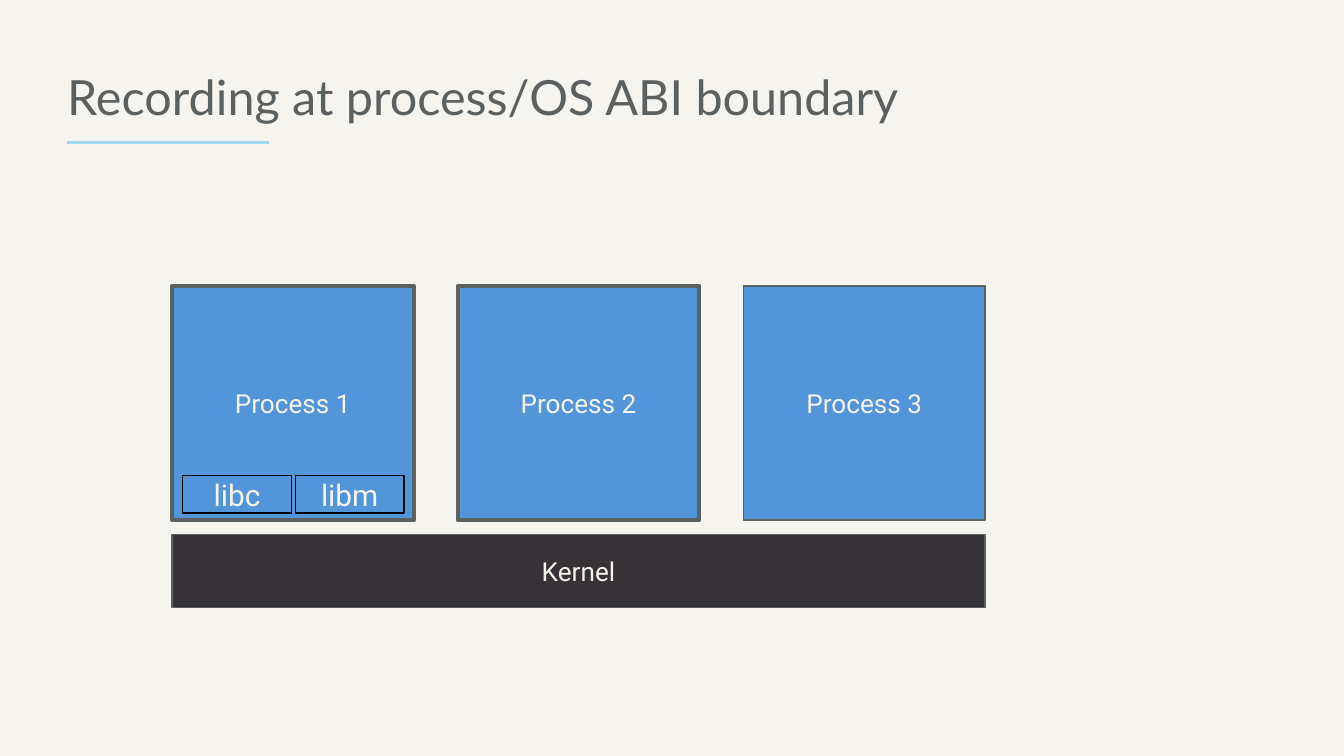
from dataclasses import dataclass
from typing import Optional

from lxml import etree
from pptx import Presentation
from pptx.dml.color import RGBColor
from pptx.enum.shapes import MSO_CONNECTOR, MSO_SHAPE
from pptx.enum.text import MSO_ANCHOR, PP_ALIGN
from pptx.oxml.ns import qn
from pptx.util import Cm, Pt

RECTANGLE = MSO_SHAPE.RECTANGLE
STRAIGHT = MSO_CONNECTOR.STRAIGHT
CENTER = PP_ALIGN.CENTER
MIDDLE, BOTTOM = MSO_ANCHOR.MIDDLE, MSO_ANCHOR.BOTTOM

CREAM = RGBColor(0xF5, 0xF4, 0xEF)
GRAY = RGBColor(0x5B, 0x60, 0x60)
BLUE = RGBColor(0x52, 0x95, 0xD8)
LIGHT_BLUE = RGBColor(0x9E, 0xDA, 0xEC)
CHARCOAL = RGBColor(0x36, 0x33, 0x36)
BLACK = RGBColor(0, 0, 0)

# Diagram grid, in centimetres
DIAGRAM_LEFT = 3.25
PROCESS_TOP, PROCESS_WIDTH, PROCESS_HEIGHT = 5.41, 4.57, 4.42
PROCESS_PITCH = 5.4
LIBRARY_LEFT, LIBRARY_PITCH = 3.45, 2.13


@dataclass
class Box:
    label: str
    left: float
    top: float
    width: float
    height: float
    fill: Optional[RGBColor] = BLUE
    line: RGBColor = GRAY
    line_width: float = 0.75
    size: int = 14


def add_run(paragraph, text: str, font: str, size: int, color: RGBColor) -> None:
    run = paragraph.add_run()
    run.text = text
    run.font.name = font
    run.font.size = Pt(size)
    run.font.color.rgb = color


def draw_box(slide, box: Box) -> None:
    shape = slide.shapes.add_shape(
        RECTANGLE, Cm(box.left), Cm(box.top), Cm(box.width), Cm(box.height))
    shape.shadow.inherit = False
    if box.fill is None:
        shape.fill.background()
    else:
        shape.fill.solid()
        shape.fill.fore_color.rgb = box.fill
    shape.line.color.rgb = box.line
    shape.line.width = Pt(box.line_width)
    frame = shape.text_frame
    frame.word_wrap = True
    frame.vertical_anchor = MIDDLE
    frame.margin_left = frame.margin_right = Cm(0.25)
    frame.margin_top = frame.margin_bottom = Cm(0.25)
    paragraph = frame.paragraphs[0]
    paragraph.alignment = CENTER
    add_run(paragraph, box.label, "Roboto", box.size, CREAM)


def draw_title(slide, text: str) -> None:
    title = slide.shapes.add_textbox(Cm(1.27), Cm(1.27), Cm(22.86), Cm(1.09))
    frame = title.text_frame
    frame.word_wrap = True
    frame.vertical_anchor = BOTTOM
    frame.margin_left = frame.margin_bottom = 0
    frame.margin_top, frame.margin_right = Cm(0.13), Cm(0.25)
    paragraph = frame.paragraphs[0]
    paragraph.line_spacing = 0.8
    add_run(paragraph, text, "Lato", 26, GRAY)

    # Accent rule under the title
    rule = slide.shapes.add_connector(
        STRAIGHT, Cm(1.27), Cm(2.69), Cm(5.08), Cm(2.69))
    rule.line.color.rgb = LIGHT_BLUE
    rule.line.width = Pt(1.5)
    etree.SubElement(rule._element.spPr, qn("a:effectLst"))


def process(index: int, line_width: float) -> Box:
    return Box(f"Process {index + 1}", DIAGRAM_LEFT + index * PROCESS_PITCH,
               PROCESS_TOP, PROCESS_WIDTH, PROCESS_HEIGHT, line_width=line_width)


def library(index: int, label: str) -> Box:
    return Box(label, LIBRARY_LEFT + index * LIBRARY_PITCH, 8.99, 2.06, 0.71,
               fill=None, line=BLACK, size=16)


def main() -> None:
    presentation = Presentation()
    presentation.slide_width, presentation.slide_height = Cm(25.4), Cm(14.29)
    slide = presentation.slides.add_slide(presentation.slide_layouts[6])
    slide.background.fill.solid()
    slide.background.fill.fore_color.rgb = CREAM

    draw_title(slide, "Recording at process/OS ABI boundary")

    # Kernel spans all processes; recorded processes have a heavy outline
    kernel = Box("Kernel", DIAGRAM_LEFT, 10.11,
                 2 * PROCESS_PITCH + PROCESS_WIDTH, 1.37, fill=CHARCOAL)
    processes = [process(i, width) for i, width in enumerate((2.25, 2.25, 0.75))]
    libraries = [library(i, label) for i, label in enumerate(("libc", "libm"))]
    for box in [kernel, *processes, *libraries]:
        draw_box(slide, box)

    presentation.save("out.pptx")


if __name__ == "__main__":
    main()
